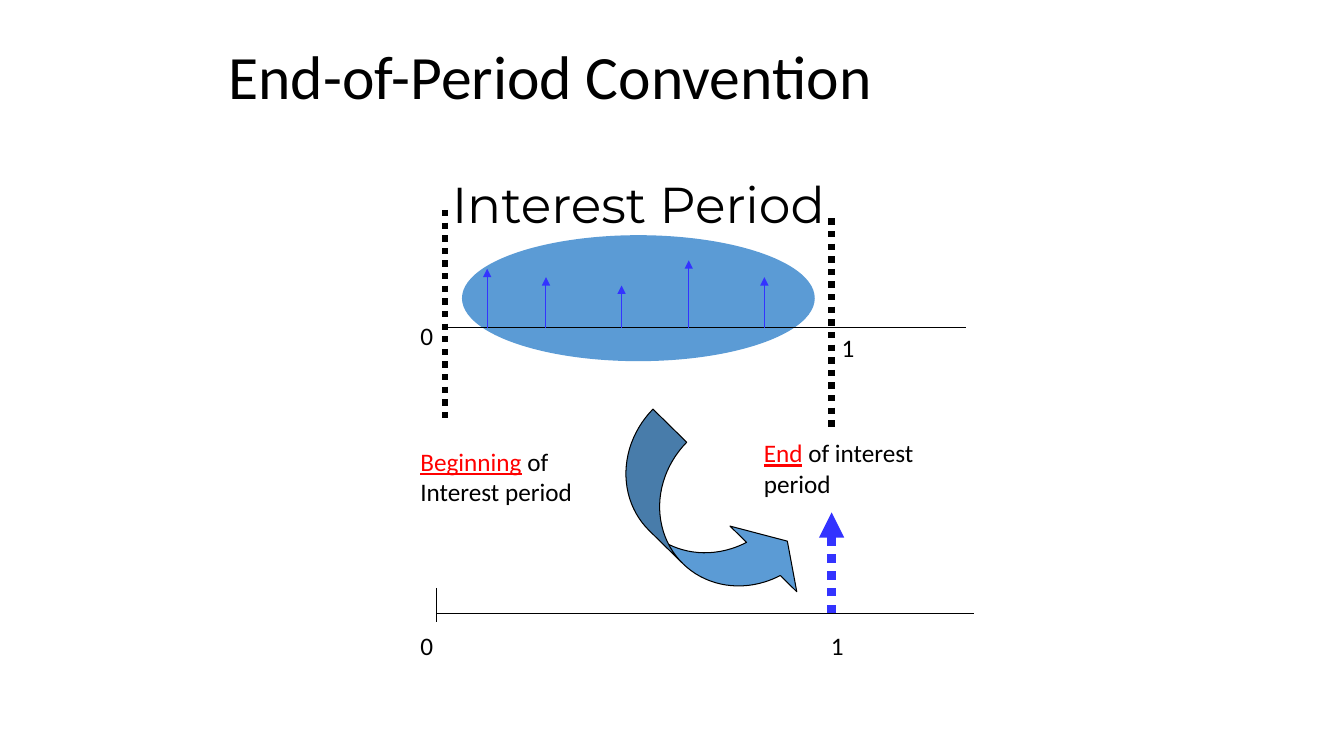
"""Build the End-of-Period Convention slide."""
from typing import NamedTuple, Optional

from lxml import etree
from pptx import Presentation
from pptx.dml.color import RGBColor
from pptx.enum.dml import MSO_LINE
from pptx.enum.shapes import MSO_CONNECTOR, MSO_SHAPE
from pptx.enum.text import MSO_ANCHOR, MSO_AUTO_SIZE, PP_ALIGN
from pptx.oxml.ns import qn
from pptx.util import Emu, Pt

STRAIGHT = MSO_CONNECTOR.STRAIGHT
DOTTED = MSO_LINE.ROUND_DOT
ELLIPSE = MSO_SHAPE.OVAL
CURVED_ARROW = MSO_SHAPE.CURVED_UP_ARROW
MIDDLE = MSO_ANCHOR.MIDDLE
FIXED_SIZE = MSO_AUTO_SIZE.NONE
GROW = MSO_AUTO_SIZE.SHAPE_TO_FIT_TEXT
LEFT = PP_ALIGN.LEFT
CENTER = PP_ALIGN.CENTER

BLACK = RGBColor(0x00, 0x00, 0x00)
RED = RGBColor(0xFF, 0x00, 0x00)
BLUE = RGBColor(0x33, 0x33, 0xFF)
SKY = RGBColor(0x5B, 0x9B, 0xD5)

PX = 9525
THIN = 0.75
TOP_AXIS, BOTTOM_AXIS = 312, 584
PERIOD_START, PERIOD_END = 424, 792


class Stroke(NamedTuple):
    """A straight line from (x1, y1) to (x2, y2)."""
    x1: int
    y1: int
    x2: int
    y2: int
    color: RGBColor = BLACK
    width: float = THIN
    dotted: bool = False
    arrow: bool = False


class Label(NamedTuple):
    """A text box whose first words may be highlighted."""
    left: int
    top: int
    width: int
    height: int
    lines: tuple[str, ...]
    highlight: str = ""


class Style(NamedTuple):
    """The look of a text box."""
    font: str = "Calibri"
    size: int = 18
    align: Optional[PP_ALIGN] = None
    outlined: bool = False
    grow: bool = True


CASH_FLOWS = ((464, 56), (520, 48), (592, 40), (656, 64), (728, 48))

STROKES = [
    Stroke(PERIOD_START, TOP_AXIS, 920, TOP_AXIS),
    Stroke(PERIOD_START, 200, PERIOD_START, 400, width=4.5, dotted=True),
    Stroke(PERIOD_END, 208, PERIOD_END, 408, width=4.5, dotted=True),
    *(Stroke(x, TOP_AXIS, x, TOP_AXIS - height, BLUE, arrow=True)
      for x, height in CASH_FLOWS),
    Stroke(416, BOTTOM_AXIS, 928, BOTTOM_AXIS),
    Stroke(PERIOD_END, BOTTOM_AXIS, PERIOD_END, 488, BLUE, 6, True, True),
    Stroke(416, 560, 416, 592),
]

LABELS = [
    Label(391, 420, 165, 68, (" of", "Interest period"), "Beginning"),
    Label(718, 412, 169, 68, (" of interest", "period"), "End"),
    Label(391, 300, 33, 38, ("0",)),
    Label(PERIOD_END, 312, 33, 38, ("1",)),
    Label(782, 596, 33, 38, ("1",)),
    Label(391, 596, 33, 38, ("0",)),
]
HEADING = Label(440, 160, 336, 68, ("Interest Period",))
HEADING_STYLE = Style("Montserrat", 36, CENTER, True, False)


def px(*lengths: int) -> list[Emu]:
    """Turn pixel lengths into EMU."""
    return [Emu(length * PX) for length in lengths]


def draw_stroke(page, stroke: Stroke) -> None:
    """Draw one line or arrow."""
    connector = page.shapes.add_connector(STRAIGHT, *px(*stroke[:4]))
    line = connector.line
    line.color.rgb = stroke.color
    line.width = Pt(stroke.width)
    if stroke.dotted:
        line.dash_style = DOTTED
    properties = connector.element.spPr
    if stroke.arrow:
        outline = properties.find(qn("a:ln"))
        etree.SubElement(outline, qn("a:tailEnd"), type="triangle")
    etree.SubElement(properties, qn("a:effectLst"))


def outline_text(span) -> None:
    """Give a run a thin black outline."""
    outline = etree.Element(qn("a:ln"), w=str(Pt(THIN)))
    fill = etree.SubElement(outline, qn("a:solidFill"))
    etree.SubElement(fill, qn("a:srgbClr"), val=str(BLACK))
    span.font.fill.solid()
    span.font.color.rgb = BLACK
    span.font._element.insert(0, outline)


def draw_label(page, label: Label, style: Style = Style()) -> None:
    """Draw one text box."""
    box = page.shapes.add_textbox(*px(*label[:4]))
    frame = box.text_frame
    frame.word_wrap = False
    frame.auto_size = GROW if style.grow else FIXED_SIZE
    for index, text in enumerate(label.lines):
        para = frame.add_paragraph() if index else frame.paragraphs[0]
        para.alignment = style.align
        para.font.name = style.font
        para.font.size = Pt(style.size)
        para.font.color.rgb = BLACK
        if label.highlight and index == 0:
            marked = para.add_run()
            marked.text = label.highlight
            marked.font.color.rgb = RED
            marked.font.underline = True
        span = para.add_run()
        span.text = text
        if style.outlined:
            outline_text(span)


def draw_shape(page, kind: MSO_SHAPE, left: int, top: int, width: int, height: int):
    """Draw a sky-blue preset shape without a line."""
    shape = page.shapes.add_shape(kind, *px(left, top, width, height))
    shape.shadow.inherit = False
    shape.fill.solid()
    shape.fill.fore_color.rgb = SKY
    shape.line.fill.background()
    return shape


def draw_title(page, text: str) -> None:
    """Fill and place the title placeholder."""
    title = page.shapes.title
    title.left, title.top, title.width, title.height = px(208, 16, 864, 120)
    frame = title.text_frame
    frame.text = text
    frame.vertical_anchor = MIDDLE
    frame.auto_size = FIXED_SIZE
    para = frame.paragraphs[0]
    para.alignment = LEFT
    para.line_spacing = 0.9
    para.font.name = "Calibri"
    para.font.size = Pt(44)
    para.font.color.rgb = BLACK


def main() -> None:
    """Build and save the deck."""
    deck = Presentation()
    deck.slide_width, deck.slide_height = px(1280, 720)
    page = deck.slides.add_slide(deck.slide_layouts[5])
    draw_title(page, "End-of-Period Convention")
    draw_shape(page, ELLIPSE, 440, 224, 336, 120)
    for stroke in STROKES:
        draw_stroke(page, stroke)
    for label in LABELS:
        draw_label(page, label)
    draw_label(page, HEADING, HEADING_STYLE)
    swoop = draw_shape(page, CURVED_ARROW, 560, 456, 224, 85)
    swoop.rotation = 44.5
    for index, value in enumerate((0.53, 1.05, 0.33)):
        swoop.adjustments[index] = value
    swoop.line.color.rgb = BLACK
    swoop.line.width = Pt(THIN)
    deck.save("out.pptx")


if __name__ == "__main__":
    main()
